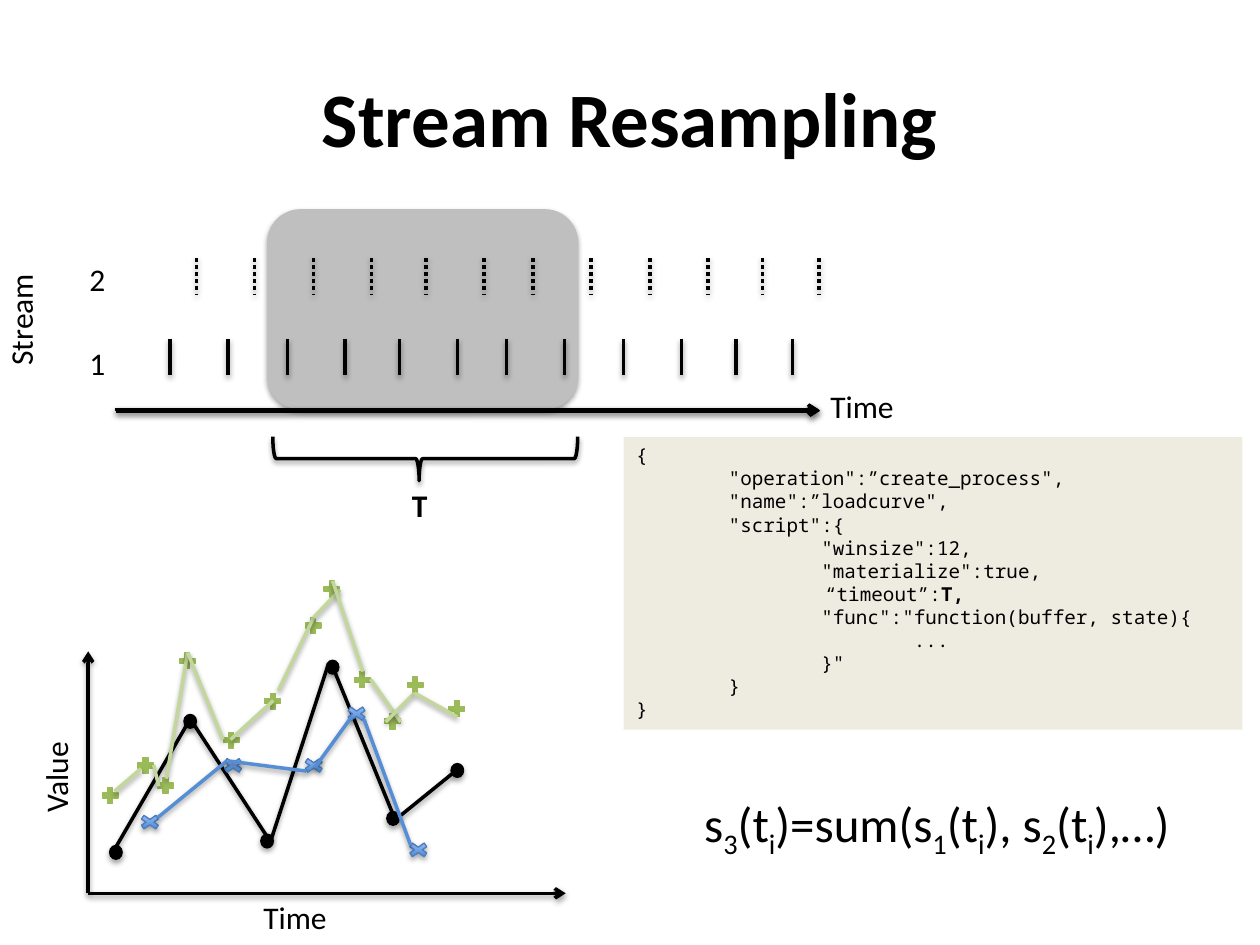
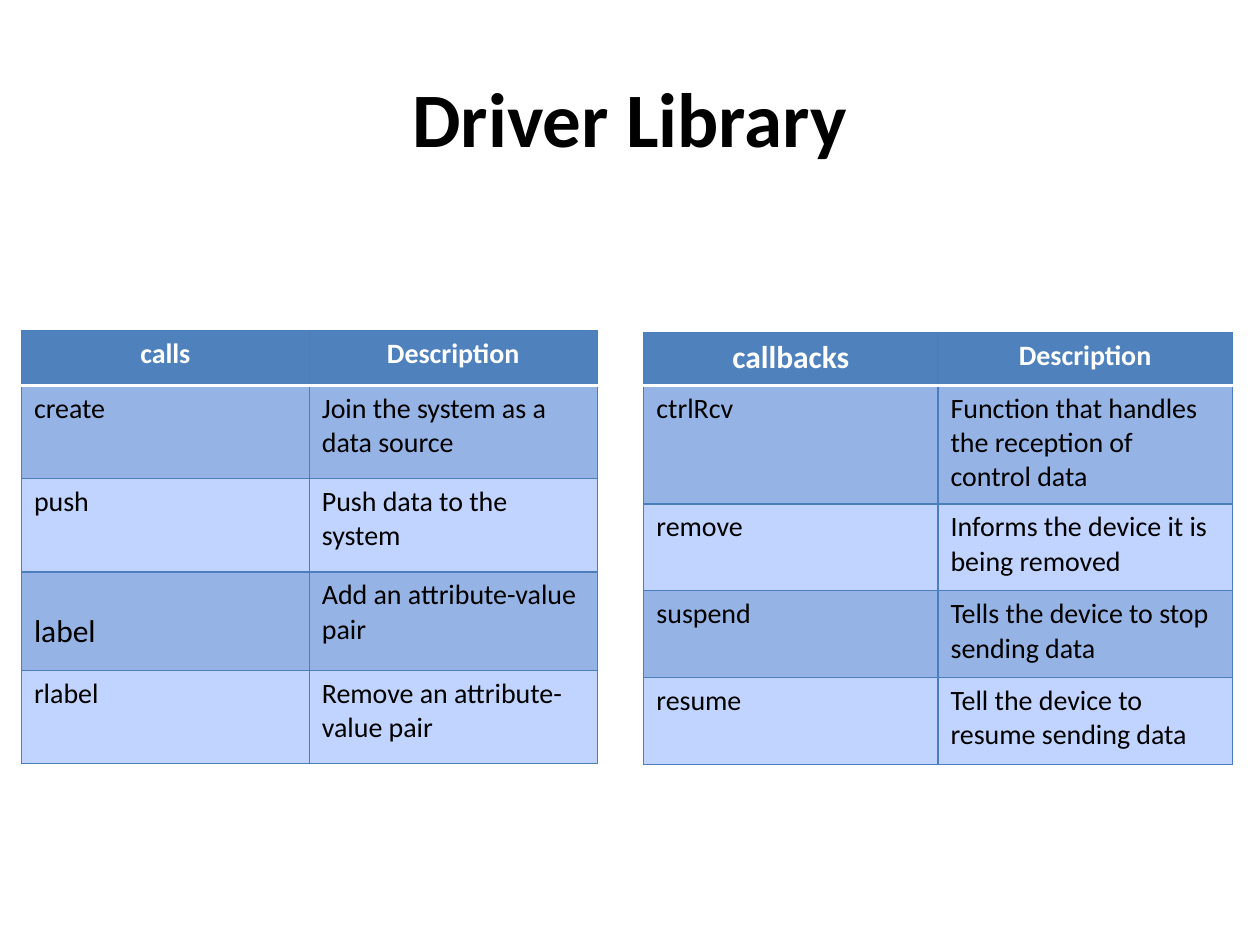
from dataclasses import dataclass
from typing import NamedTuple

from lxml.etree import Element, SubElement
from pptx import Presentation
from pptx.dml.color import RGBColor
from pptx.enum.dml import MSO_LINE
from pptx.enum.shapes import MSO_CONNECTOR, MSO_SHAPE
from pptx.enum.text import MSO_ANCHOR, PP_ALIGN
from pptx.oxml.ns import qn
from pptx.util import Emu, Pt

# Shared style: 100 px to the inch
PX = 9144
FONT, MONO = "Calibri", "Noto Sans Mono"
BLACK, WHITE = "000000", "FFFFFF"
GRAY, BEIGE = "BFBFBF", "EEECE1"
BLUE, BLUE_EDGE = "558ED5", "4B7EBC"
BLUE_LOW, BLUE_HIGH = "3F80CE", "A4C4FF"
GREEN, GREEN_LINE = "9BBB59", "C3D69B"
HEADER, BAND_DARK, BAND_LIGHT = "4F81BD", "95B3E4", "C0D4FF"


class Box(NamedTuple):
    left: int
    top: int
    width: int
    height: int


class Segment(NamedTuple):
    x1: int
    y1: int
    x2: int
    y2: int


@dataclass
class Label:
    text: str
    box: Box
    rotation: int = 0
    bold: bool = False
    inset: tuple[int, int] = (8, 4)


@dataclass
class Series:
    marker: MSO_SHAPE
    size: tuple[int, int]
    corners: list[tuple[int, int]]
    fill: tuple[str, ...]
    edge: str
    line: str
    segments: list[Segment]
    shadow: bool = True


@dataclass
class Listing:
    box: Box
    head_size: int
    row_heights: list[int]
    rows: list[tuple[str, str]]


LABELS = [
    Label("1", Box(63, 269, 29, 38)),
    Label("2", Box(63, 202, 29, 38)),
    Label("Time", Box(651, 303, 67, 38)),
    Label("Stream", Box(-29, 234, 90, 38), rotation=270),
    Label("T", Box(317, 381, 33, 40), bold=True, inset=(10, 5)),
    Label("Time", Box(201, 709, 67, 38)),
    Label("Value", Box(7, 597, 74, 38), rotation=270),
]

TICKS = [135, 181, 228, 274, 317, 363, 402, 448, 495, 541, 584, 629]
TICK_HEIGHT = 29

CODE = """{
        "operation":”create_process",
        "name":”loadcurve",
        "script":{
                "winsize":12,
                "materialize":true,
\t\t\t“timeout”:*T,*
                "func":"function(buffer, state){
                        ...
                }"
        }
}"""
FORMULA = "s_3_(t_i_)=sum(s_1_(t_i_), s_2_(t_i_),…)"

SERIES = [
    Series(MSO_SHAPE.OVAL, (10, 11),
           [(87, 671), (307, 644), (207, 662), (259, 524), (358, 606), (146, 567)],
           (BLACK,), BLACK, BLACK,
           [Segment(149, 574, 91, 674), Segment(212, 664, 150, 569),
            Segment(215, 667, 260, 529), Segment(313, 649, 264, 529),
            Segment(317, 648, 359, 614)]),
    Series(MSO_SHAPE.MATH_MULTIPLY, (22, 15),
           [(108, 645), (174, 600), (238, 600), (272, 559), (321, 667)],
           (BLUE_LOW, BLUE_HIGH), BLUE_EDGE, BLUE,
           [Segment(180, 604, 125, 649), Segment(243, 612, 181, 604),
            Segment(326, 671, 289, 571), Segment(279, 569, 250, 609)]),
    Series(MSO_SHAPE.MATH_PLUS, (17, 17),
           [(107, 599), (140, 516), (175, 579), (208, 548), (240, 488), (255, 459),
            (279, 531), (303, 564), (123, 615), (321, 535), (354, 554), (79, 623)],
           (GREEN,), GREEN, GREEN_LINE,
           [Segment(112, 610, 91, 628), Segment(122, 607, 126, 624),
            Segment(149, 518, 132, 618), Segment(149, 518, 177, 587),
            Segment(217, 556, 183, 587), Segment(249, 490, 221, 548),
            Segment(270, 468, 249, 490), Segment(288, 533, 264, 461),
            Segment(318, 573, 294, 539), Segment(306, 573, 329, 550),
            Segment(363, 569, 329, 550)], shadow=False),
]

CALLS = Listing(Box(17, 262, 457, 344), 16, [44, 74, 74, 78, 74], [
    ("calls", "Description"),
    ("create", "Join the system as a data source"),
    ("push", "Push data to the system"),
    ("label", "Add an attribute-value pair"),
    ("rlabel", "Remove an attribute-value pair"),
])
CALLBACKS = Listing(Box(511, 264, 467, 342), 18, [42, 94, 69, 69, 69], [
    ("callbacks", "Description"),
    ("ctrlRcv", "Function that handles the reception of control data"),
    ("remove", "Informs the device it is being removed"),
    ("suspend", "Tells the device to stop sending data"),
    ("resume", "Tell the device to resume sending data"),
])


def px(n: float) -> Emu:
    return Emu(round(n * PX))


def place(box: Box) -> list[Emu]:
    return [px(n) for n in box]


def rgb(color: str) -> RGBColor:
    return RGBColor.from_string(color)


def style(r, size: int, color: str = BLACK, bold: bool = False, font: str = FONT) -> None:
    f = r.font
    f.name, f.size, f.bold = font, Pt(size), bold
    f.color.rgb = rgb(color)


def set_shadow(sp, visible: bool = True) -> None:
    """Replace the theme shadow by a soft one straight below, or by none."""
    spPr = sp._element.spPr
    effects = spPr.find(qn("a:effectLst"))
    if effects is None:
        effects = SubElement(spPr, qn("a:effectLst"))
    if visible:
        outer = SubElement(effects, qn("a:outerShdw"), blurRad=str(Pt(3.1)),
                           dist=str(Pt(1.6)), dir="5400000", rotWithShape="0")
        color = SubElement(outer, qn("a:srgbClr"), val=BLACK)
        SubElement(color, qn("a:alpha"), val="37000")


def add_line(s, seg: Segment, color: str = BLACK, dotted: bool = False,
             arrow: bool = False) -> None:
    c = s.shapes.add_connector(MSO_CONNECTOR.STRAIGHT, *[px(n) for n in seg])
    c.line.width = Pt(2)
    c.line.color.rgb = rgb(color)
    if dotted:
        c.line.dash_style = MSO_LINE.ROUND_DOT
    if arrow:
        SubElement(c.line._get_or_add_ln(), qn("a:tailEnd"), type="arrow")
    set_shadow(c)


def add_shape(s, kind: MSO_SHAPE, box: Box, fill: tuple[str, ...] = (), edge: str = "",
              width: float = 0.75, shadow: bool = True):
    sp = s.shapes.add_shape(kind, *place(box))
    sp.shadow.inherit = False
    if len(fill) == 2:
        sp.fill.gradient()
        sp.fill.gradient_angle = 90
        for stop, color in zip(sp.fill.gradient_stops, fill):
            stop.color.rgb = rgb(color)
    elif fill:
        sp.fill.solid()
        sp.fill.fore_color.rgb = rgb(fill[0])
    else:
        sp.fill.background()
    if edge:
        sp.line.width = Pt(width)
        sp.line.color.rgb = rgb(edge)
    else:
        sp.line.fill.background()
    set_shadow(sp, shadow)
    return sp


def add_label(s, label: Label) -> None:
    sp = s.shapes.add_textbox(*place(label.box))
    sp.rotation = label.rotation
    tf = sp.text_frame
    tf.word_wrap = False
    tf.margin_left = tf.margin_right = px(label.inset[0])
    tf.margin_top = tf.margin_bottom = px(label.inset[1])
    tf.text = label.text
    style(tf.paragraphs[0].runs[0], 18, bold=label.bold)


def add_code(s, box: Box) -> None:
    sp = s.shapes.add_textbox(*place(box))
    sp.fill.solid()
    sp.fill.fore_color.rgb = rgb(BEIGE)
    tf = sp.text_frame
    tf.word_wrap = True
    for i, line in enumerate(CODE.split("\n")):
        p = tf.add_paragraph() if i else tf.paragraphs[0]
        for j, part in enumerate(filter(None, line.split("*"))):
            r = p.add_run()
            r.text = part
            style(r, 11, bold=j == 1, font=MONO)


def add_formula(s, box: Box) -> None:
    tf = s.shapes.add_textbox(*place(box)).text_frame
    tf.word_wrap = False
    for i, part in enumerate(FORMULA.split("_")):
        r = tf.paragraphs[0].add_run()
        r.text = part
        style(r, 28)
        if i % 2:
            r._r.get_or_add_rPr().set("baseline", "-25000")


def add_series(s, series: Series) -> None:
    for corner in series.corners:
        add_shape(s, series.marker, Box(*corner, *series.size), series.fill,
                  series.edge, shadow=series.shadow)
    for seg in series.segments:
        add_line(s, seg, series.line)


def set_borders(cell, row: int) -> None:
    tcPr = cell._tc.get_or_add_tcPr()
    for i, side in enumerate("LRTB"):
        white = (row, side) in ((0, "B"), (1, "T"))
        ln = Element(qn(f"a:ln{side}"), w=str(Pt(2 if white else 0.75)))
        fill = SubElement(ln, qn("a:solidFill"))
        SubElement(fill, qn("a:srgbClr"), val=WHITE if white else BLUE_EDGE)
        tcPr.insert(i, ln)


def add_listing(s, listing: Listing) -> None:
    table = s.shapes.add_table(len(listing.rows), 2, *place(listing.box)).table
    for i, (texts, height) in enumerate(zip(listing.rows, listing.row_heights)):
        table.rows[i].height = px(height)
        for j, text in enumerate(texts):
            cell = table.cell(i, j)
            cell.text = text
            p = cell.text_frame.paragraphs[0]
            size = 16
            if i == 0:
                p.alignment = PP_ALIGN.CENTER
                size = listing.head_size if j == 0 else 16
            elif text == "label":
                size = 18
                cell.margin_top = px(32)
            style(p.runs[0], size, BLACK if i else WHITE, bold=i == 0)
            cell.fill.solid()
            band = BAND_DARK if i % 2 else BAND_LIGHT
            cell.fill.fore_color.rgb = rgb(band if i else HEADER)
            set_borders(cell, i)


def add_slide(prs, title: str):
    s = prs.slides.add_slide(prs.slide_layouts[5])
    sp = s.shapes.title
    sp.left, sp.top, sp.width, sp.height = place(Box(50, 30, 900, 125))
    tf = sp.text_frame
    tf.text = title
    tf.vertical_anchor = MSO_ANCHOR.MIDDLE
    tf.paragraphs[0].alignment = PP_ALIGN.CENTER
    style(tf.paragraphs[0].runs[0], 44, bold=True)
    return s


def build_resampling(prs) -> None:
    s = add_slide(prs, "Stream Resampling")
    # Window over the two streams
    add_shape(s, MSO_SHAPE.ROUNDED_RECTANGLE, Box(212, 166, 247, 159), (GRAY,))
    for shift, top, dotted in ((0, 269, False), (21, 205, True)):
        for x in TICKS:
            add_line(s, Segment(x + shift, top, x + shift, top + TICK_HEIGHT), dotted=dotted)
    for d in (1, 0):
        add_line(s, Segment(91 + d, 325 + d, 650 + d, 325 + d), arrow=True)
    brace = add_shape(s, MSO_SHAPE.LEFT_BRACE, Box(320, 243, 35, 242), edge=BLACK, width=2)
    brace.rotation = 270
    brace.adjustments[0], brace.adjustments[1] = 0.08, 0.48
    add_code(s, Box(495, 347, 491, 232))
    # Value over time
    for end in ((449, 709), (70, 517)):
        add_line(s, Segment(70, 709, *end), arrow=True)
    for label in LABELS:
        add_label(s, label)
    for series in SERIES:
        add_series(s, series)
    add_formula(s, Box(549, 625, 401, 57))


def build_library(prs) -> None:
    s = add_slide(prs, "Driver Library")
    for listing in (CALLS, CALLBACKS):
        add_listing(s, listing)


def main() -> None:
    prs = Presentation()
    prs.slide_width, prs.slide_height = px(1000), px(750)
    build_resampling(prs)
    build_library(prs)
    prs.save("out.pptx")


if __name__ == "__main__":
    main()
